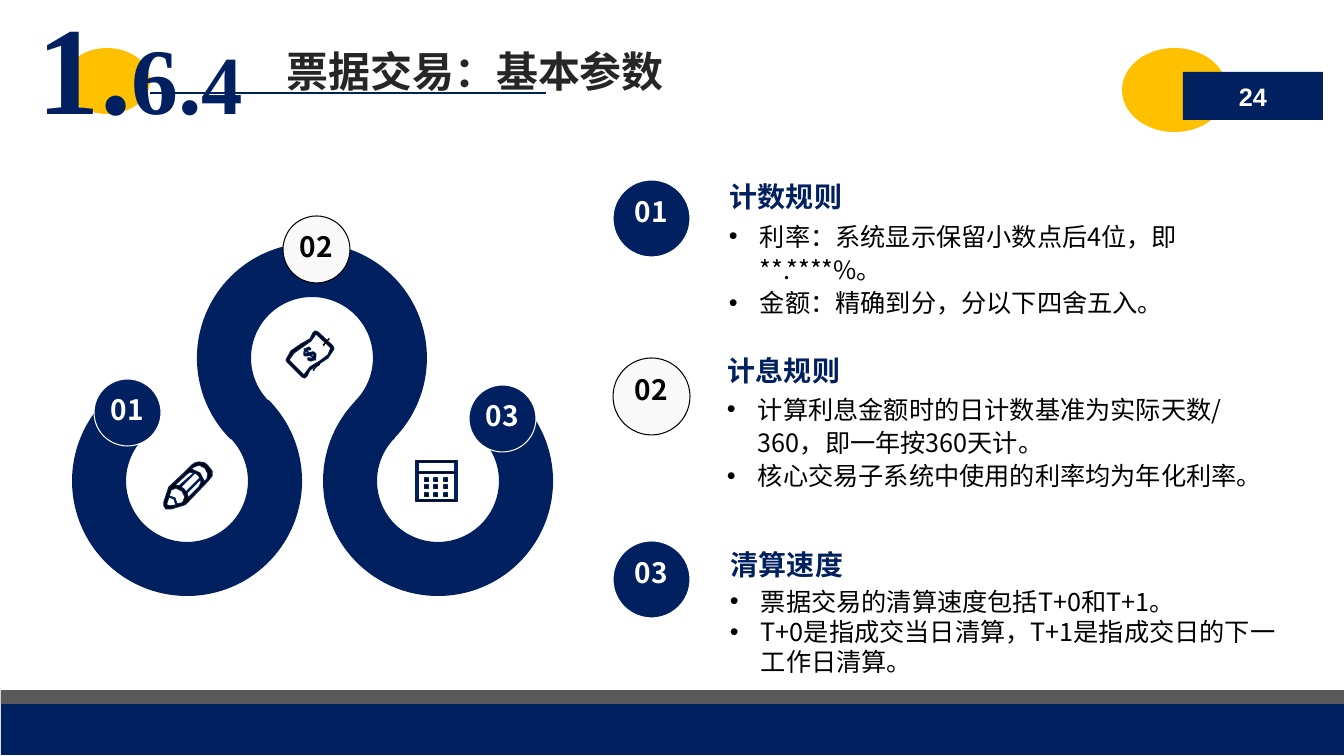
from dataclasses import dataclass

from lxml.etree import SubElement
from pptx import Presentation
from pptx.dml.color import RGBColor
from pptx.enum.shapes import MSO_CONNECTOR, MSO_SHAPE
from pptx.enum.text import MSO_ANCHOR, MSO_AUTO_SIZE, PP_ALIGN
from pptx.oxml.ns import qn
from pptx.util import Pt

EMU_PER_PX = 914400 / 100.8


@dataclass(frozen=True)
class Theme:
    navy: str = "002060"
    amber: str = "FFC000"
    gray: str = "595959"
    ink: str = "262626"
    black: str = "000000"
    white: str = "FFFFFF"
    pale: str = "F9F9F9"
    cjk: str = "Noto Sans CJK SC"
    serif: str = "Times New Roman"
    sans: str = "Arial"
    title: int = 30
    heading: int = 20
    body: int = 18
    section: tuple = (89, 67, 59)
    hairline: float = 0.75
    rule: float = 1.5


THEME = Theme()

# Contours of each icon: the outline first, then its holes.
PENCIL = [
    [(44, 4), (41, 1), (35, 0), (31, 1), (28, 3), (21, 10), (5, 25), (4, 28), (0, 40), (0, 44),
     (2, 47), (5, 47), (7, 47), (20, 43), (22, 42), (44, 19), (48, 14), (48, 9)],
    [(24, 35), (23, 31), (37, 17), (37, 21), (35, 25), (24, 36)],
    [(22, 30), (20, 27), (17, 25), (31, 11), (34, 13), (36, 16)],
    [(15, 24), (11, 23), (23, 12), (26, 10), (30, 11)],
    [(6, 44), (3, 43), (3, 41), (5, 35), (10, 37), (12, 43)],
    [(13, 42), (11, 36), (5, 34), (7, 29), (7, 28), (12, 26), (18, 29), (21, 35), (19, 40), (18, 41)],
    [(43, 17), (40, 20), (40, 19), (36, 11), (27, 7), (30, 5), (35, 3), (41, 6), (44, 12)],
]
BANKNOTE = [
    [(47, 15), (32, 1), (29, 0), (27, 2), (24, 8), (15, 13), (5, 20), (0, 29), (1, 31), (16, 46),
     (19, 47), (21, 45), (24, 39), (33, 33), (42, 27), (48, 18)],
    [(18, 44), (3, 29), (8, 22), (15, 17), (25, 10), (30, 3), (45, 17), (42, 24), (34, 30), (24, 36)],
]
DOLLAR = [
    [(12, 6), (11, 5), (9, 5), (6, 6), (4, 3), (7, 3), (8, 2), (6, 0), (4, 1), (2, 2), (1, 2),
     (2, 3), (1, 5), (1, 8), (2, 9), (4, 9), (7, 8), (10, 11), (9, 12), (7, 11), (5, 11), (5, 13),
     (8, 14), (11, 13), (13, 13), (12, 12), (13, 10), (13, 7)],
    [(4, 7), (2, 6), (2, 5), (3, 4), (5, 6)],
    [(11, 10), (8, 8), (9, 7), (10, 7), (11, 8)],
]
LOWER_MARK = [[(6, 1), (4, 3), (0, 6), (0, 8), (1, 8), (2, 6), (4, 4), (7, 2), (7, 0)]]
UPPER_MARK = [[(3, 4), (0, 6), (0, 8), (1, 8), (3, 5), (7, 1), (6, 0), (4, 2)]]
CALENDAR = [
    [(0, 0), (0, 41), (41, 41), (41, 0)],
    [(39, 2), (39, 11), (2, 11), (2, 2)],
    [(2, 39), (2, 13), (39, 13), (39, 39)],
]


def px(*lengths):
    return [round(length * EMU_PER_PX) for length in lengths]


def paint(shape, fill, line=None):
    shape.shadow.inherit = False
    shape.fill.solid()
    shape.fill.fore_color.rgb = RGBColor.from_string(fill)
    if line:
        shape.line.color.rgb = RGBColor.from_string(line)
        shape.line.width = Pt(THEME.hairline)
    else:
        shape.line.fill.background()
    return shape


def add_preset(slide, preset, box, fill, line=None):
    return paint(slide.shapes.add_shape(preset, *px(*box)), fill, line)


def add_icon(slide, left, top, contours, line=THEME.navy):
    builder = None
    for start, *rest in contours:
        if builder is None:
            builder = slide.shapes.build_freeform(*start, scale=EMU_PER_PX)
        else:
            builder.move_to(*start)
        builder.add_line_segments(rest, close=True)
    paint(builder.convert_to_shape(*px(left, top)), THEME.black, line)


def style(target, size, color, bold=False, face=THEME.cjk):
    """Set the font of a paragraph, for Latin and East Asian letters alike."""
    font = target.font
    font.size, font.bold, font.name = Pt(size), bold, face
    font.color.rgb = RGBColor.from_string(color)
    properties = target._p.get_or_add_pPr().find(qn("a:defRPr"))
    SubElement(properties, qn("a:ea")).set("typeface", face)


def set_insets(frame):
    frame.margin_left, frame.margin_top, frame.margin_right, frame.margin_bottom = px(12, 6, 12, 6)


def add_text(slide, box, text, size, color, align=PP_ALIGN.LEFT, wrap=True):
    frame = slide.shapes.add_textbox(*px(*box)).text_frame
    frame.word_wrap = wrap
    line = frame.paragraphs[0]
    line.text, line.alignment = text, align
    style(line, size, color, bold=True)


def add_bullets(slide, box, items, spacing):
    frame = slide.shapes.add_textbox(*px(*box)).text_frame
    frame.word_wrap = True
    for index, item in enumerate(items):
        line = frame.add_paragraph() if index else frame.paragraphs[0]
        line.text, line.line_spacing = item, spacing
        properties = line._p.get_or_add_pPr()
        indent = px(31)[0]
        properties.set("marL", str(indent))
        properties.set("indent", str(-indent))
        SubElement(properties, qn("a:buFont")).set("typeface", THEME.sans)
        SubElement(properties, qn("a:buChar")).set("char", "•")
        style(line, THEME.body, THEME.black)


def add_badge(slide, left, top, size, number, number_drop):
    light = number == "02"
    fill, edge = (THEME.pale, THEME.black) if light else (THEME.navy, THEME.white)
    circle = add_preset(slide, MSO_SHAPE.OVAL, (left, top, size, size), fill, edge)
    circle.rotation = 45
    add_text(slide, (left - 8, top + number_drop, size + 16, 40), number, THEME.heading,
             THEME.black if light else THEME.white, PP_ALIGN.CENTER)


def add_ring(slide, left, top, rotation):
    """Three quarters of a ring, open at the bottom before rotation."""
    ring = add_preset(slide, MSO_SHAPE.BLOCK_ARC, (left, top, 230, 230), THEME.navy)
    for index, degrees in enumerate((135, 45)):
        ring.adjustments[index] = degrees * 0.6
    ring.adjustments[2] = 0.235
    ring.rotation = rotation


def add_header(slide):
    add_preset(slide, MSO_SHAPE.OVAL, (64, 48, 86, 66), THEME.amber)
    rule = slide.shapes.add_connector(MSO_CONNECTOR.STRAIGHT, *px(150, 93, 546, 93))
    rule.line.color.rgb = RGBColor.from_string(THEME.navy)
    rule.line.width = Pt(THEME.rule)
    SubElement(rule._element.spPr, qn("a:effectLst"))

    title = slide.shapes.title
    title.left, title.top, title.width, title.height = px(276, 40, 522, 61)
    frame = title.text_frame
    frame.text = "票据交易：基本参数"
    frame.vertical_anchor, frame.auto_size = MSO_ANCHOR.TOP, MSO_AUTO_SIZE.NONE
    frame.paragraphs[0].alignment = PP_ALIGN.LEFT
    style(frame.paragraphs[0], THEME.title, THEME.ink, bold=True)
    title.element.getparent().append(title.element)

    add_preset(slide, MSO_SHAPE.OVAL, (1122, 48, 105, 84), THEME.amber)
    page = add_preset(slide, MSO_SHAPE.RECTANGLE, (1183, 72, 140, 48), THEME.navy).text_frame
    set_insets(page)
    page.vertical_anchor = MSO_ANCHOR.MIDDLE
    page.text = "24"
    page.paragraphs[0].alignment = PP_ALIGN.CENTER
    style(page.paragraphs[0], THEME.body, THEME.white, bold=True, face=THEME.sans)

    section = slide.shapes.add_textbox(*px(26, -16, 254, 163)).text_frame
    section.word_wrap = True
    set_insets(section)
    for part, size in zip(("1.", "6.", "4"), THEME.section):
        run = section.paragraphs[0].add_run()
        run.text, run.font.size = part, Pt(size)
    style(section.paragraphs[0], THEME.section[0], THEME.navy, bold=True, face=THEME.serif)


def add_diagram(slide):
    for left, top, rotation in ((323, 366, 180), (197, 243, 0), (72, 366, 180)):
        add_ring(slide, left, top, rotation)
    add_icon(slide, 164, 462, PENCIL)
    add_icon(slide, 286, 331, BANKNOTE)
    add_icon(slide, 303, 347, DOLLAR)
    add_icon(slide, 313, 363, LOWER_MARK, line=None)
    add_icon(slide, 323, 338, UPPER_MARK, line=None)
    add_icon(slide, 416, 461, CALENDAR)
    for key in range(9):
        row, column = divmod(key, 3)
        add_preset(slide, MSO_SHAPE.RECTANGLE, (425 + 19 * column // 2, 478 + 15 * row // 2, 4, 4),
                   THEME.black, THEME.navy)
    for number, left, top in (("01", 94, 379), ("02", 283, 216), ("03", 469, 385)):
        add_badge(slide, left, top, 67, number, 9)


def main():
    rules = [
        ("01", 180, 719, 175, 213, 1.1, "计数规则",
         ["利率：系统显示保留小数点后4位，即**.****%。", "金额：精确到分，分以下四舍五入。"]),
        ("02", 358, 717, 349, 386, 1.1, "计息规则",
         ["计算利息金额时的日计数基准为实际天数/360，即一年按360天计。",
          "核心交易子系统中使用的利率均为年化利率。"]),
        ("03", 541, 720, 543, 581, 1.0, "清算速度",
         ["票据交易的清算速度包括T+0和T+1。",
          "T+0是指成交当日清算，T+1是指成交日的下一工作日清算。"]),
    ]
    deck = Presentation()
    deck.slide_width, deck.slide_height = px(1344, 756)
    slide = deck.slides.add_slide(deck.slide_layouts[5])
    add_preset(slide, MSO_SHAPE.RECTANGLE, (1, 691, 1343, 64), THEME.navy)
    add_preset(slide, MSO_SHAPE.RECTANGLE, (1, 690, 1343, 14), THEME.gray)
    add_header(slide)
    add_diagram(slide)
    for number, badge_top, left, heading_top, body_top, spacing, heading, items in rules:
        add_badge(slide, 613, badge_top, 77, number, 10)
        add_bullets(slide, (left, body_top, 576, 111), items, spacing)
        add_text(slide, (left + 1, heading_top, 226, 44), heading, THEME.heading, THEME.navy, wrap=False)
    deck.save("out.pptx")


if __name__ == "__main__":
    main()
